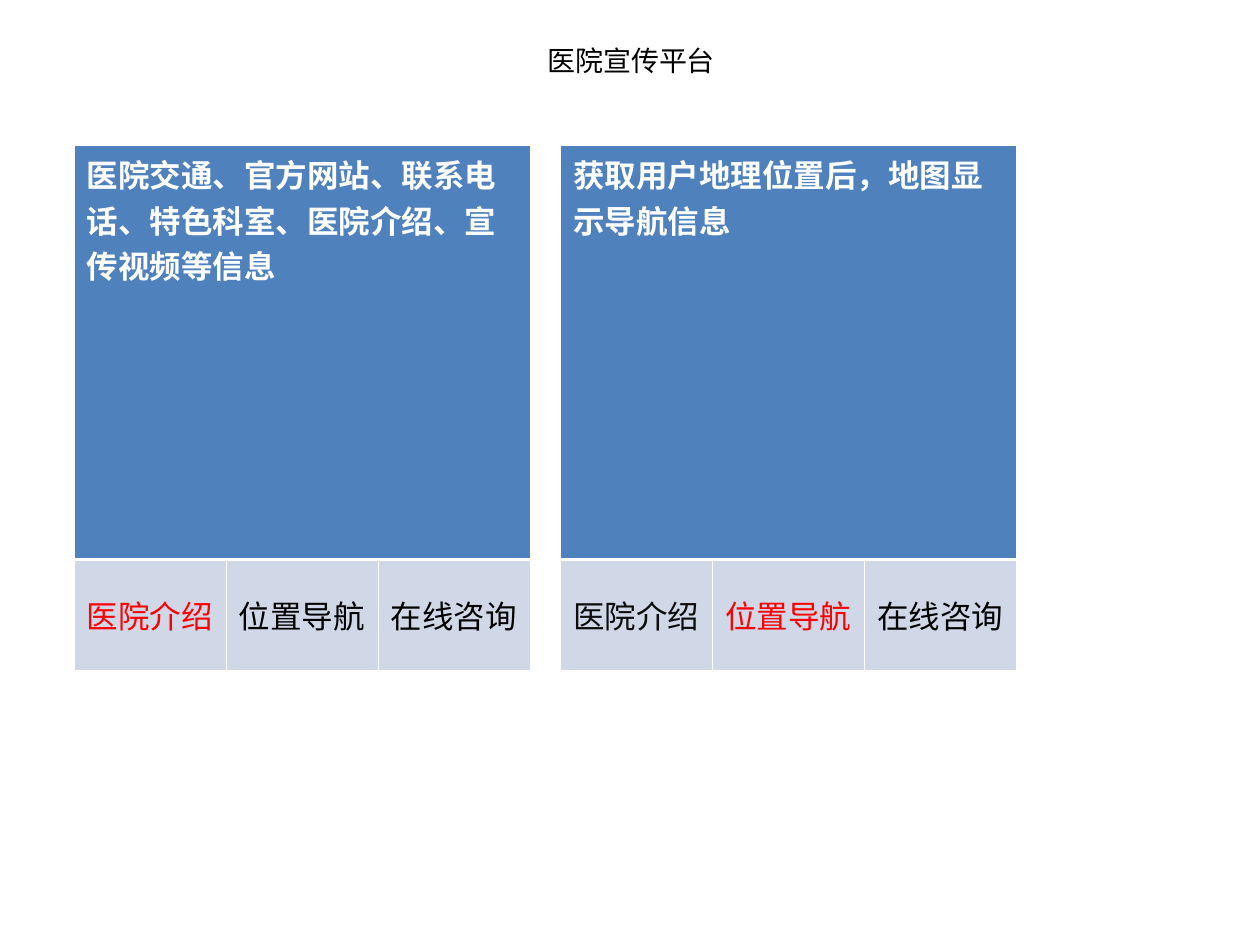
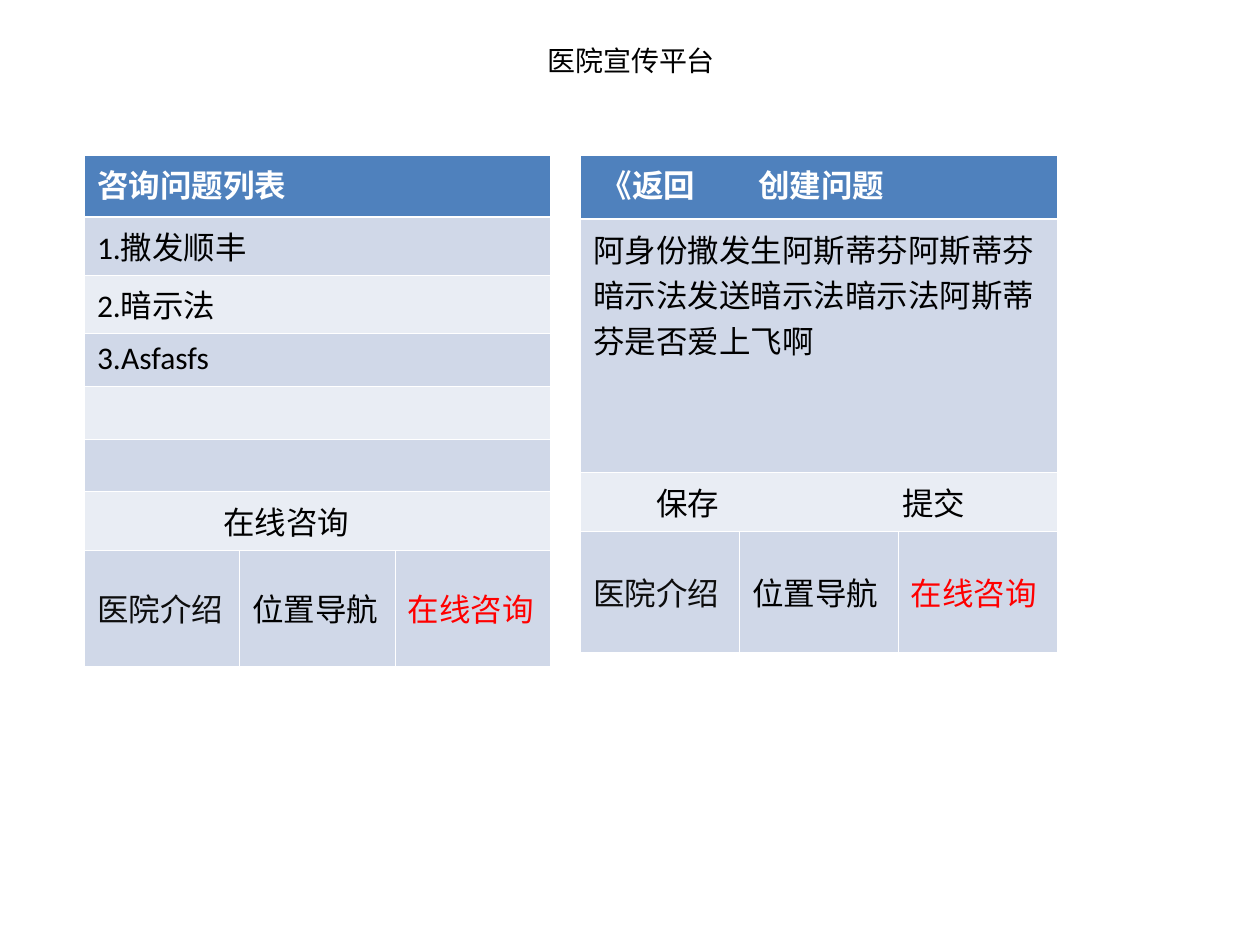
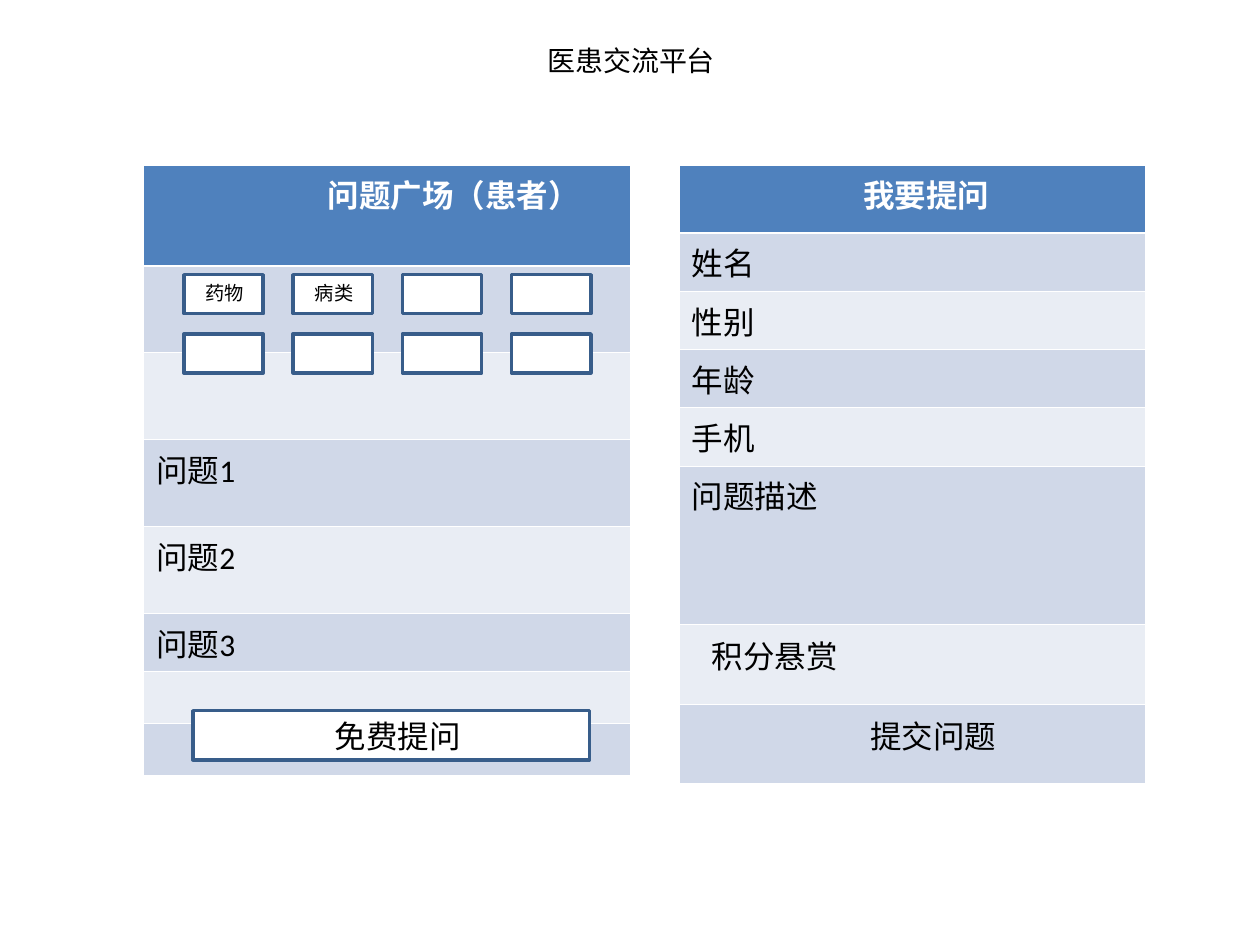
"""Builds three slides of screen sketches for a hospital publicity and consultation platform."""
from lxml import etree
from pptx import Presentation
from pptx.dml.color import RGBColor
from pptx.enum.lang import MSO_LANGUAGE_ID as Lang
from pptx.enum.shapes import MSO_SHAPE as Shape
from pptx.enum.text import MSO_ANCHOR as Anchor, PP_ALIGN as Align
from pptx.oxml.ns import qn
from pptx.util import Inches, Pt

WHITE = RGBColor(0xFF, 0xFF, 0xFF)
BLACK = RGBColor(0x00, 0x00, 0x00)
NEAR_BLACK = RGBColor(0x0D, 0x0D, 0x0D)
RED = RGBColor(0xFF, 0x00, 0x00)
HEADER_BLUE = RGBColor(0x4F, 0x81, 0xBD)
OUTLINE_BLUE = RGBColor(0x38, 0x5D, 0x8A)
BANDS = [RGBColor(0xE9, 0xED, 0xF4), RGBColor(0xD0, 0xD8, 0xE8)]
FONT = "Calibri"
NAV = [("医院介绍", NEAR_BLACK), ("位置导航", BLACK), ("在线咨询", BLACK)]
THIN, THICK = 0.45, 1.47


def write(frame, text, size=18, color=BLACK, bold=False, stops=()):
    """Write one paragraph, with tab stops given in inches."""
    paragraph = frame.paragraphs[0]
    paragraph.text = text
    if stops:
        tabs = etree.SubElement(paragraph._p.get_or_add_pPr(), qn("a:tabLst"))
        for stop in stops:
            etree.SubElement(tabs, qn("a:tab"), pos=str(Inches(stop)), algn="l")
    for run in paragraph.runs:
        run.font.name = FONT
        run.font.size = Pt(size)
        run.font.bold = bold
        run.font.color.rgb = color
        run.font.language_id = Lang.SIMPLIFIED_CHINESE


def add_screen(slide, left, top, width, rows, nav_height=0, active=None):
    """Draw a screen as a banded table, with a navigation row if one entry is active."""
    columns = 1 if active is None else len(NAV)
    heights = [row[0] for row in rows] + ([nav_height] if nav_height else [])
    table = slide.shapes.add_table(len(heights), columns, Inches(left), Inches(top),
                                   Inches(width), Inches(sum(heights))).table
    for column in table.columns:
        column.width = Inches(width / columns)
    for r, height in enumerate(heights):
        table.rows[r].height = Inches(height)
        for c in range(columns):
            cell = table.cell(r, c)
            cell.fill.solid()
            cell.fill.fore_color.rgb = BANDS[r % 2] if r else HEADER_BLUE
            widths = {"lnL": THIN, "lnR": THIN, "lnT": THICK if r == 1 else THIN,
                      "lnB": THIN if r else THICK}
            for position, (side, points) in enumerate(widths.items()):
                line = etree.Element(qn(f"a:{side}"), w=str(Pt(points)))
                fill = etree.SubElement(line, qn("a:solidFill"))
                etree.SubElement(fill, qn("a:srgbClr"), val=str(WHITE))
                cell._tc.get_or_add_tcPr().insert(position, line)
            if r == len(rows):
                label, color = NAV[c]
                cell.vertical_anchor = Anchor.MIDDLE
                write(cell.text_frame, label, color=RED if c == active else color)
        if r < len(rows):
            if columns > 1:
                table.cell(r, 0).merge(table.cell(r, columns - 1))
            text, stops = rows[r][1], rows[r][2:]
            write(table.cell(r, 0).text_frame, text, color=BLACK if r else WHITE,
                  bold=r == 0, stops=stops)


prs = Presentation()
prs.slide_width, prs.slide_height = Inches(10), Inches(7.5)

slides = []
for heading in ["医院宣传平台", "医院宣传平台", "医患交流平台"]:
    slide = prs.slides.add_slide(prs.slide_layouts[5])
    title = slide.shapes.title
    title.left, title.top = Inches(2.09), Inches(0)
    title.width, title.height = Inches(5.84), Inches(0.95)
    title.text_frame.vertical_anchor = Anchor.MIDDLE
    write(title.text_frame, heading, size=16)
    title.text_frame.paragraphs[0].alignment = Align.CENTER
    slides.append(slide)
publicity, consultation, exchange = slides

introductions = ["医院交通、官方网站、联系电话、特色科室、医院介绍、宣传视频等信息",
                 "获取用户地理位置后，地图显示导航信息"]
for index, introduction in enumerate(introductions):
    add_screen(publicity, 0.59 + 3.86 * index, 1.15, 3.62, [(3.29, introduction)], 0.88, index)

question_list = [(0.49, "咨询问题列表")]
question_list += [(0.42, entry) for entry in ["1.撒发顺丰", "2.暗示法", "3.Asfasfs", "", ""]]
question_list.append((0.42, "\t在线咨询", 1))
add_screen(consultation, 0.67, 1.23, 3.7, question_list, 0.92, 2)

new_question = [
    (0.51, "\t《返回\t创建问题", 0.06, 1.31),
    (2.01, "阿身份撒发生阿斯蒂芬阿斯蒂芬暗示法发送暗示法暗示法阿斯蒂芬是否爱上飞啊"),
    (0.47, "\t保存\t提交", 0.5, 2.45),
]
add_screen(consultation, 4.61, 1.23, 3.78, new_question, 0.96, 2)

ask_form = [(0.54, "\t我要提问", 1.36)]
ask_form += [(0.44, field) for field in ["姓名", "性别", "年龄", "手机"]]
ask_form += [(1.26, "问题描述"), (0.63, ""), (0.63, "")]
add_screen(exchange, 5.39, 1.31, 3.7, ask_form)

question_square = [(0.8, "\t问题广场（患者）", 1.36)]
question_square += [(0.69, entry) for entry in ["", "", "问题1", "问题2"]]
question_square += [(0.41, entry) for entry in ["问题3", "", ""]]
add_screen(exchange, 1.14, 1.31, 3.86, question_square)

buttons = [(1.46 + 0.867 * c, 2.18 + 0.47 * r, 0.63, 0.31) for r in range(2) for c in range(4)]
buttons.append((1.53, 5.64, 3.15, 0.39))
for bounds in buttons:
    button = exchange.shapes.add_shape(Shape.RECTANGLE, *map(Inches, bounds))
    button.shadow.inherit = False
    button.fill.solid()
    button.fill.fore_color.rgb = WHITE
    button.line.color.rgb = OUTLINE_BLUE
    button.line.width = Pt(2)

labels = [
    ("积分悬赏", 5.55, 5.01, 1.26, 0.4, 18),
    ("提交问题", 6.81, 5.64, 1.5, 0.4, 18),
    ("药物", 1.53, 2.18, 0.71, 0.29, 11),
    ("病类", 2.4, 2.18, 0.71, 0.29, 11),
    ("免费提问", 2.56, 5.64, 2.68, 0.4, 18),
]
for text, *bounds, size in labels:
    label = exchange.shapes.add_textbox(*map(Inches, bounds))
    label.text_frame.word_wrap = True
    write(label.text_frame, text, size=size)

prs.save("out.pptx")
